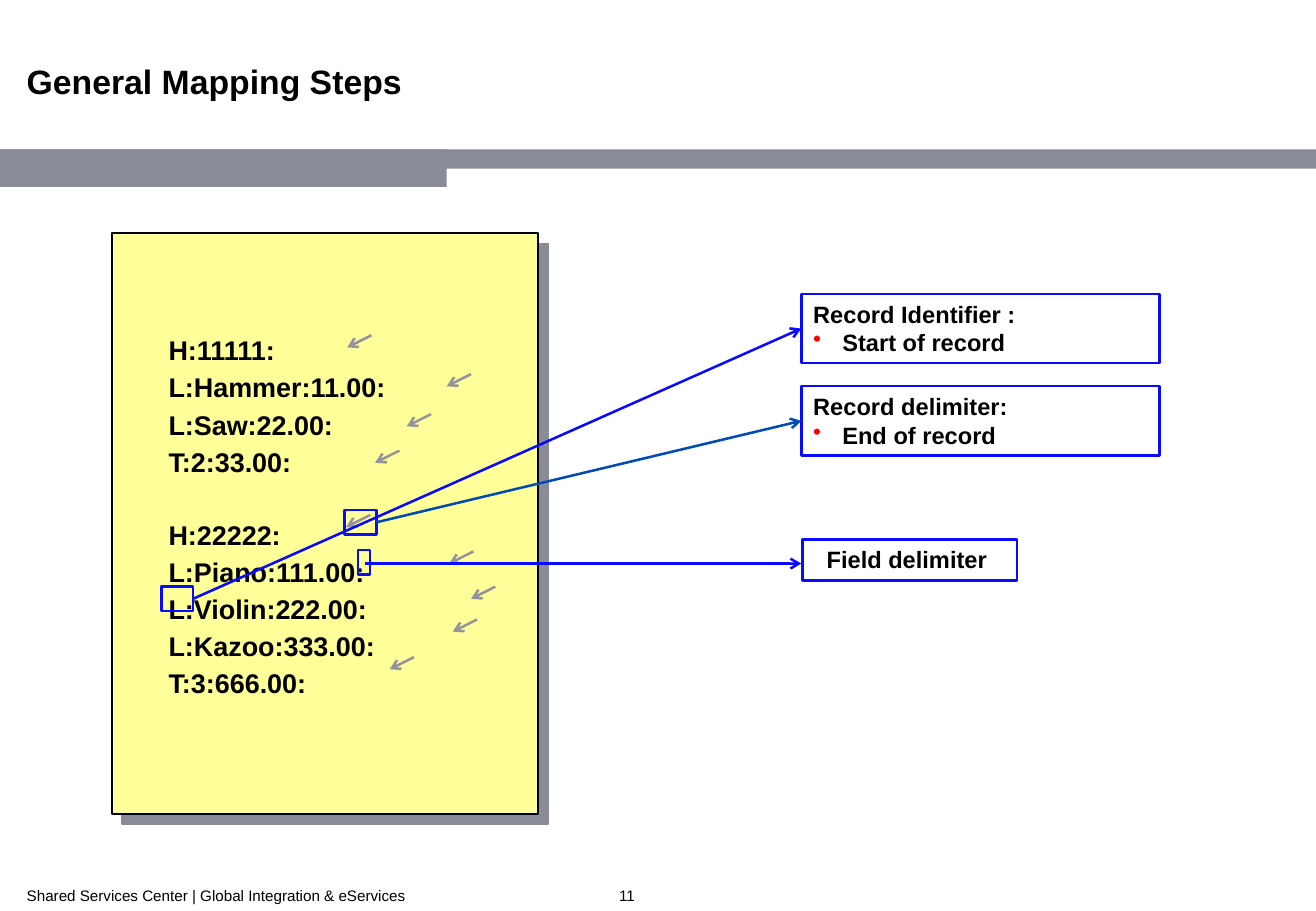
from dataclasses import dataclass
from typing import NamedTuple

from lxml.etree import SubElement
from pptx import Presentation
from pptx.dml.color import RGBColor
from pptx.enum.shapes import MSO_CONNECTOR as Connector, MSO_SHAPE as Shape
from pptx.enum.text import MSO_ANCHOR as Anchor
from pptx.oxml.ns import qn
from pptx.util import Inches, Pt

BLACK = RGBColor(0x00, 0x00, 0x00)
GREY = RGBColor(0x87, 0x8C, 0x96)
ARROW_GREY = RGBColor(0x93, 0x93, 0x9D)
YELLOW = RGBColor(0xFF, 0xFF, 0x99)
BLUE = RGBColor(0x0A, 0x0A, 0xFF)
DARK_BLUE = RGBColor(0x00, 0x4B, 0xB4)
RED = RGBColor(0xFF, 0x00, 0x00)

FONT = "Arial"
CELL = 0.1  # inches per column and per row
COLUMNS, ROWS = 108.4, 75
RIGHT_SIDE, LEFT_SIDE = 3, 1


class Point(NamedTuple):
    column: float
    row: float


class Area(NamedTuple):
    column: float
    row: float
    columns: float
    rows: float


@dataclass(frozen=True)
class Callout:
    marker: Area
    label: Area
    heading: str
    start: Point
    end: Point
    detail: str = ""
    indent: float = 0
    color: RGBColor = BLUE
    joined: bool = True


RECORDS = (
    ("H:11111:", "L:Hammer:11.00:", "L:Saw:22.00:", "T:2:33.00:"),
    ("H:22222:", "L:Piano:111.00:", "L:Violin:222.00:", "L:Kazoo:333.00:",
     "T:3:666.00:"),
)
LINE_END_TIPS = (
    Point(28.6, 28.6), Point(36.8, 31.8), Point(33.5, 35.1),
    Point(30.9, 38.1), Point(28.5, 43.4), Point(37, 46.4),
    Point(38.8, 49.3), Point(37.3, 52), Point(32.1, 55.1),
)
CALLOUTS = (
    Callout(Area(29.5, 45.3, 1, 2), Area(66.1, 44.4, 17.7, 3.4),
            "Field delimiter", Point(30.1, 46.4), Point(66, 46.4),
            indent=1, joined=False),
    Callout(Area(28.4, 42, 2.6, 2), Area(66, 31.8, 29.5, 5.7),
            "Record delimiter:", Point(31, 43), Point(66, 34.6),
            detail="End of record", color=DARK_BLUE),
    Callout(Area(13.3, 48.3, 2.6, 2), Area(66, 24.2, 29.5, 5.7),
            "Record Identifier :", Point(16.1, 49.1), Point(66, 27),
            detail="Start of record"),
)


def grid(cells: float) -> int:
    """Length of a number of grid cells."""
    return Inches(cells * CELL)


def style(para, size: float, bold: bool = True) -> None:
    para.font.name = FONT
    para.font.size = Pt(size)
    para.font.bold = bold
    para.font.color.rgb = BLACK


def add_text(page, area: Area, text: str, size: float, bold: bool,
             anchor=Anchor.TOP, wrap: bool = True) -> None:
    frame = page.shapes.add_textbox(*map(grid, area)).text_frame
    frame.margin_left = frame.margin_right = 0
    frame.margin_top = frame.margin_bottom = 0
    frame.word_wrap = wrap
    frame.vertical_anchor = anchor
    frame.text = text
    style(frame.paragraphs[0], size, bold)


def add_box(page, area: Area, fill=None, line=None, width: float = 1.5):
    box = page.shapes.add_shape(Shape.RECTANGLE, *map(grid, area))
    box.shadow.inherit = False
    if fill is None:
        box.fill.background()
    else:
        box.fill.solid()
        box.fill.fore_color.rgb = fill
    if line is None:
        box.line.fill.background()
    else:
        box.line.color.rgb = line
        box.line.width = Pt(width)
    return box


def add_arrow(page, start: Point, end: Point, color: RGBColor):
    arrow = page.shapes.add_connector(
        Connector.STRAIGHT, *map(grid, start + end))
    arrow.line.color.rgb = color
    arrow.line.width = Pt(1.5)
    properties = arrow.element.spPr
    SubElement(properties.find(qn("a:ln")), qn("a:tailEnd"), type="arrow")
    SubElement(properties, qn("a:effectLst"))
    return arrow


def add_red_bullet(para) -> None:
    properties = para._p.get_or_add_pPr()
    properties.set("marL", str(grid(2.4)))
    properties.set("indent", str(-grid(2.4)))
    color = SubElement(properties, qn("a:buClr"))
    SubElement(color, qn("a:srgbClr"), val=str(RED))
    SubElement(properties, qn("a:buChar"), char="•")


def add_paper(page) -> None:
    """Yellow sheet with a hard grey shadow and the sample records."""
    paper = add_box(page, Area(9.2, 19.2, 35.1, 47.8), YELLOW, BLACK, 1)
    effects = paper.element.spPr.find(qn("a:effectLst"))
    shadow = SubElement(effects, qn("a:outerShdw"), blurRad="0",
                        dist=str(Pt(8.5)), dir=str(45 * 60000),
                        algn="ctr", rotWithShape="0")
    SubElement(shadow, qn("a:srgbClr"), val=str(GREY))

    frame = page.shapes.add_textbox(
        *map(grid, Area(12.9, 27, 29.5, 30))).text_frame
    frame.word_wrap = True
    frame.text = "\n".join(line for record in RECORDS for line in record)
    for number, para in enumerate(frame.paragraphs):
        style(para, 16)
        if number:
            new_record = number == len(RECORDS[0])
            para.space_before = Pt(24 if new_record else 2.8)


def add_callout(page, callout: Callout) -> None:
    marker = add_box(page, callout.marker, line=BLUE)
    label = add_box(page, callout.label, line=BLUE)
    frame = label.text_frame
    frame.word_wrap = True
    frame.vertical_anchor = Anchor.TOP
    frame.margin_left = grid(1 + callout.indent)
    frame.text = callout.heading
    if callout.detail:
        detail = frame.add_paragraph()
        detail.text = callout.detail
        add_red_bullet(detail)
    for para in frame.paragraphs:
        para.alignment = 1
        style(para, 14)
    arrow = add_arrow(page, callout.start, callout.end, callout.color)
    if callout.joined:
        arrow.begin_connect(marker, RIGHT_SIDE)
        arrow.end_connect(label, LEFT_SIDE)


def main() -> None:
    deck = Presentation()
    deck.slide_width, deck.slide_height = grid(COLUMNS), grid(ROWS)
    page = deck.slides.add_slide(deck.slide_layouts[6])

    add_box(page, Area(0, 12.3, COLUMNS, 1.6), GREY)
    add_box(page, Area(0, 12.3, 36.8, 3.1), GREY)
    add_text(page, Area(2.2, 5, 74.3, 6.8), "General Mapping Steps", 20, True)
    add_paper(page)
    for tip in LINE_END_TIPS:
        add_arrow(page, Point(tip.column + 2, tip.row - 1), tip, ARROW_GREY)
    for callout in CALLOUTS:
        add_callout(page, callout)
    add_text(page, Area(51, 72.9, 6.3, 1.6), "11", 9, False,
             Anchor.MIDDLE, wrap=False)
    add_text(page, Area(2.2, 72.9, 46.5, 1.6),
             "Shared Services Center | Global Integration & eServices",
             9, False, Anchor.MIDDLE)
    deck.save("out.pptx")


if __name__ == "__main__":
    main()
